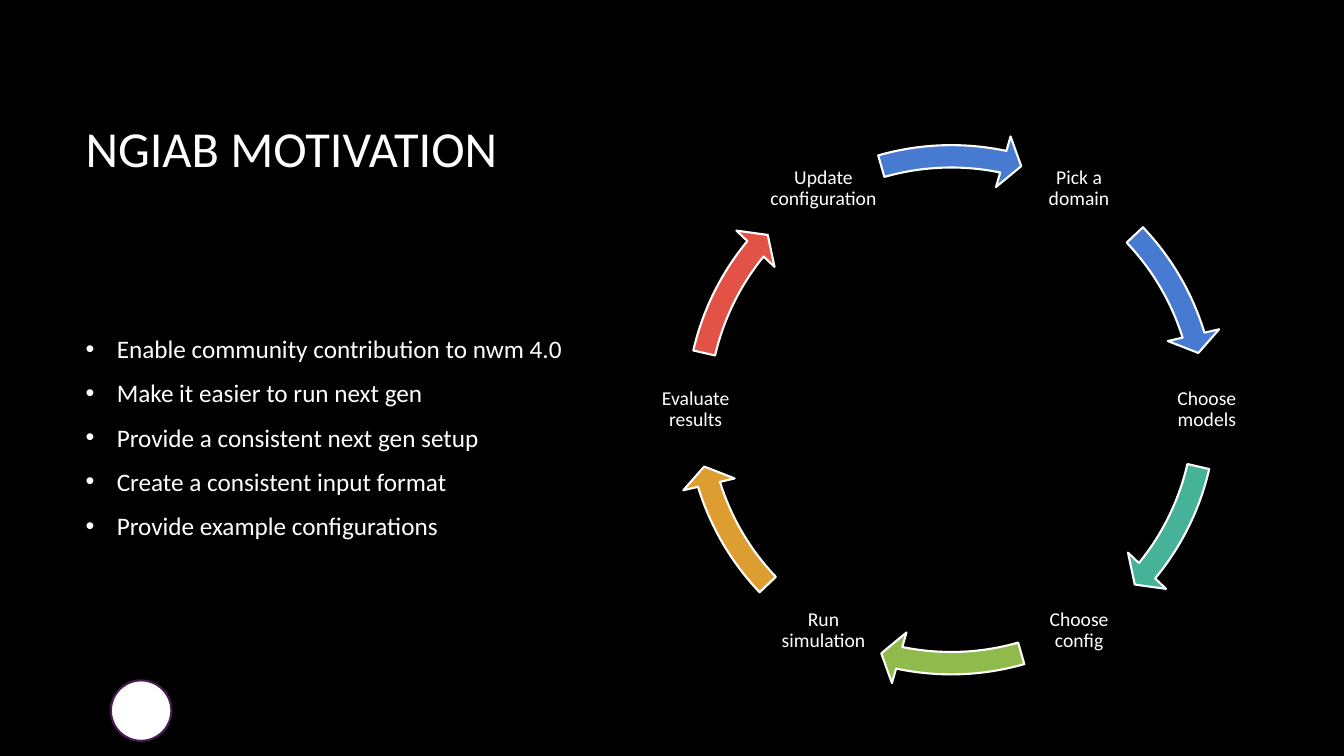
import math
from lxml import etree
from pptx import Presentation
from pptx import util as u
from pptx.dml.color import RGBColor
from pptx.enum import shapes, text
from pptx.oxml import ns

WIDTH, HEIGHT = 13.33, 7.5
FONT = "Calibri"
COLORS = {
    "background": "000000", "ink": "FFFFFF", "badge_rim": "4B1B55",
    "blue": "477BD1", "teal": "46B298", "green": "90BA4C",
    "amber": "DD9D31", "red": "E25247",
}
GOALS = [
    "Enable community contribution to nwm 4.0",
    "Make it easier to run next gen",
    "Provide a consistent next gen setup",
    "Create a consistent input format",
    "Provide example configurations",
]
# Each step with the colour of the arrow that leaves it, clockwise
STEPS = [
    ("Pick a domain", "blue"), ("Choose models", "teal"),
    ("Choose config", "green"), ("Run simulation", "amber"),
    ("Evaluate results", "red"), ("Update configuration", "blue"),
]

# Cycle geometry: inches and degrees
CENTER_X, CENTER_Y = 9.435, 4.065
RING, ORBIT, LABEL = 5.55, 2.535, 1.14
FIRST_ANGLE, STEP_ANGLE = -60, 60
TAIL_GAPS = [16.39, 12.95, 13.98]   # from a step to its arrow's tail
HEAD_GAPS = [17.12, 20.56, 18.15]   # from the arrow's head to the next step
SHAFT, HEAD_ANGLE, HEAD_SIZE = 0.04, 2.504, 0.047
ANGLE_UNIT = 0.6                    # adjustment value of one degree


def color(name):
    return RGBColor.from_string(COLORS[name])


def square(cx, cy, side):
    """Left, top, width and height of a square around a centre."""
    return [u.Inches(v) for v in (cx - side / 2, cy - side / 2, side, side)]


def add_text(slide, box, lines, size, inset=None, **paragraph_format):
    frame = slide.shapes.add_textbox(*box).text_frame
    frame_format = {"word_wrap": True, "vertical_anchor": text.MSO_ANCHOR.MIDDLE}
    if inset is not None:
        for side in ("left", "right", "top", "bottom"):
            frame_format["margin_" + side] = u.Inches(inset)
    for key, value in frame_format.items():
        setattr(frame, key, value)
    frame.text = "\n".join(lines)
    for paragraph in frame.paragraphs:
        for key, value in paragraph_format.items():
            setattr(paragraph, key, value)
        for run in paragraph.runs:
            run.font.name, run.font.size = FONT, u.Pt(size)
            run.font.color.rgb = color("ink")
    return frame


def add_bullets(frame, indent):
    for paragraph in frame.paragraphs:
        props = paragraph._p.get_or_add_pPr()
        props.set("marL", str(u.Inches(indent)))
        props.set("indent", str(-u.Inches(indent)))
        tint = etree.SubElement(props, ns.qn("a:buClr"))
        etree.SubElement(tint, ns.qn("a:srgbClr"), val=COLORS["ink"])
        etree.SubElement(props, ns.qn("a:buFont"), typeface="Arial")
        etree.SubElement(props, ns.qn("a:buChar"), char="•")


def add_outlined(slide, kind, box, fill, rim):
    outlined = slide.shapes.add_shape(kind, *box)
    outlined.shadow.inherit = False
    outlined.fill.solid()
    outlined.fill.fore_color.rgb = color(fill)
    outlined.line.color.rgb = color(rim)
    outlined.line.width = u.Pt(1.5)
    return outlined


def add_step(slide, index, label, tint):
    angle = FIRST_ANGLE + index * STEP_ANGLE
    turn = math.radians(angle)
    spot = square(CENTER_X + ORBIT * math.cos(turn),
                  CENTER_Y + ORBIT * math.sin(turn), LABEL)
    add_text(slide, spot, [label], 14, inset=0.03,
             alignment=text.PP_ALIGN.CENTER, line_spacing=0.9)

    # Arrow to the next step
    arrow = add_outlined(slide, shapes.MSO_SHAPE.CIRCULAR_ARROW,
                         square(CENTER_X, CENTER_Y, RING), tint, "ink")
    tail = (angle + TAIL_GAPS[index % 3]) % 360
    head = (angle + STEP_ANGLE - HEAD_GAPS[index % 3]) % 360
    settings = (SHAFT, HEAD_ANGLE, head * ANGLE_UNIT, tail * ANGLE_UNIT, HEAD_SIZE)
    for position, value in enumerate(settings):
        arrow.adjustments[position] = value


def main():
    deck = Presentation()
    deck.slide_width, deck.slide_height = u.Inches(WIDTH), u.Inches(HEIGHT)
    slide = deck.slides.add_slide(deck.slide_layouts[6])
    slide.background.fill.solid()
    slide.background.fill.fore_color.rgb = color("background")

    # Badge in the footer
    add_outlined(slide, shapes.MSO_SHAPE.OVAL, square(1.4, 7.05, 0.6),
                 "ink", "badge_rim")

    # Title and goals share one column
    left, width = u.Inches(0.75), u.Inches(11.08)
    add_text(slide, (left, u.Inches(0.67), width, u.Inches(1.59)),
             ["NGIAB MOTIVATION"], 36)
    goals = add_text(slide, (left, u.Inches(2.34), width, u.Inches(3.99)),
                     GOALS, 18, space_after=u.Pt(10))
    add_bullets(goals, 0.31)

    # Cycle of steps
    for index, (label, tint) in enumerate(STEPS):
        add_step(slide, index, label, tint)

    deck.save("out.pptx")


if __name__ == "__main__":
    main()
